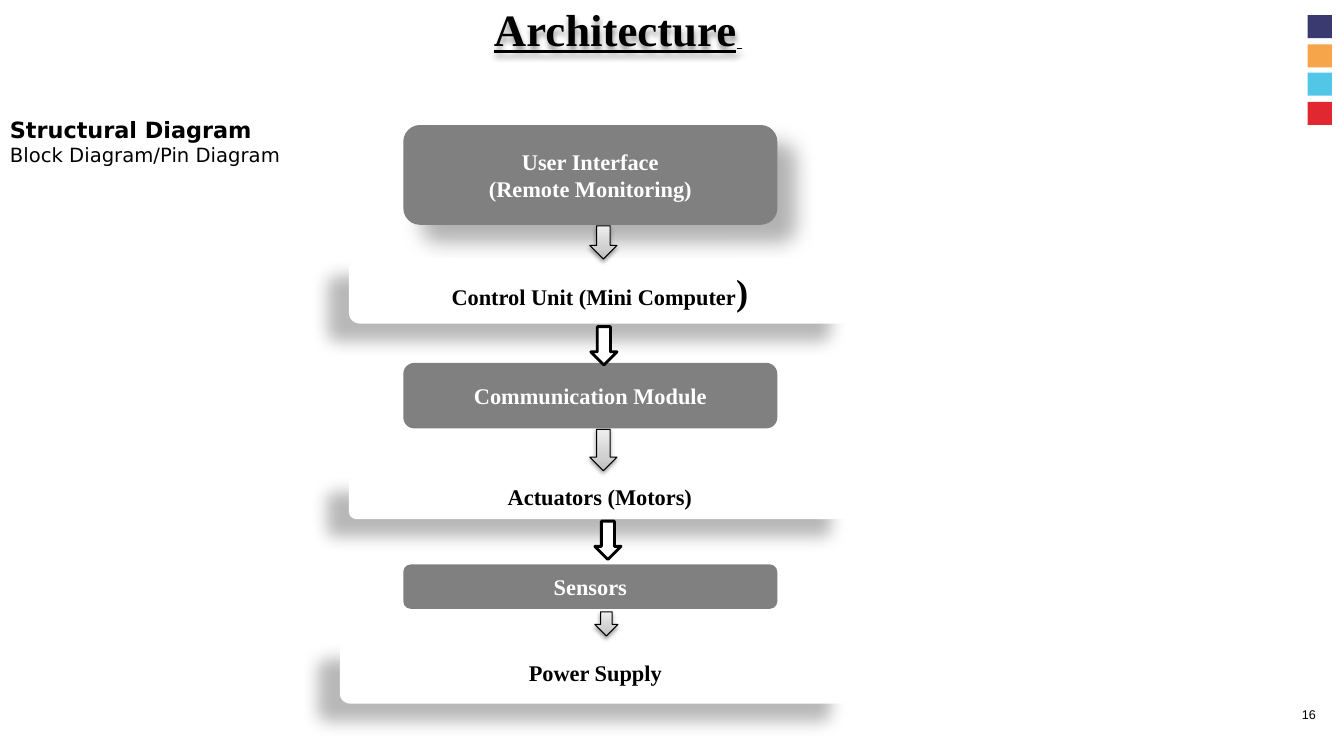
from lxml.etree import SubElement
from pptx import Presentation
from pptx.dml.color import RGBColor
from pptx.enum.shapes import MSO_SHAPE
from pptx.enum.text import MSO_ANCHOR, MSO_AUTO_SIZE, PP_ALIGN
from pptx.oxml.ns import qn
from pptx.util import Pt

EMU_PER_PX = 9144  # 100 px to the inch

BLACK = RGBColor(0x00, 0x00, 0x00)
WHITE = RGBColor(0xFF, 0xFF, 0xFF)
GRAY = RGBColor(0x80, 0x80, 0x80)
NAVY = RGBColor(0x3A, 0x3A, 0x70)
ORANGE = RGBColor(0xF7, 0xA5, 0x4B)
CYAN = RGBColor(0x51, 0xC6, 0xE7)
RED = RGBColor(0xE1, 0x27, 0x30)
ARROW_STOPS = [
    (0, RGBColor(0xBD, 0xBD, 0xBD)),
    (35, RGBColor(0xD1, 0xD1, 0xD1)),
    (100, RGBColor(0xEE, 0xEE, 0xEE)),
]

SERIF = "Times New Roman"

# Shadows: opacity in percent, blur and distance in points, angle in degrees
LOWER_RIGHT_SHADOW = (30, 15, 18, 45)
LOWER_LEFT_SHADOW = (28, 11.8, 19.7, 141)
ARROW_SHADOW = (38, 3.1, 1.6, 90)
TITLE_SHADOW = (40, 4, 3, 90)


def px(*lengths):
    return [length * EMU_PER_PX for length in lengths]


def add_shadow(shape, opacity, blur, distance, angle):
    shape.shadow.inherit = False
    effects = shape._element.spPr.find(qn("a:effectLst"))
    shadow = SubElement(
        effects, qn("a:outerShdw"), blurRad=str(Pt(blur)), dist=str(Pt(distance)),
        dir=str(angle * 60000), algn="ctr", rotWithShape="0")
    color = SubElement(shadow, qn("a:srgbClr"), val=str(BLACK))
    SubElement(color, qn("a:alpha"), val=str(opacity * 1000))


def fill_gradient(shape, stops):
    shape.fill.gradient()
    shape.fill.gradient_angle = 90
    stop_list = shape._element.spPr.find(qn("a:gradFill")).find(qn("a:gsLst"))
    for stop in list(stop_list):
        stop_list.remove(stop)
    for position, color in stops:
        stop = SubElement(stop_list, qn("a:gs"), pos=str(position * 1000))
        SubElement(stop, qn("a:srgbClr"), val=str(color))


def add_solid(slide, kind, box, color):
    shape = slide.shapes.add_shape(kind, *px(*box))
    shape.shadow.inherit = False
    shape.fill.solid()
    shape.fill.fore_color.rgb = color
    shape.line.fill.background()
    return shape


def format_run(run, size, font_name, color=BLACK, bold=False):
    run.font.size = Pt(size)
    run.font.name = font_name
    run.font.color.rgb = color
    run.font.bold = bold


def add_block(slide, box, text, color, text_color, shadow=None):
    shape = add_solid(slide, MSO_SHAPE.ROUNDED_RECTANGLE, box, color)
    if shadow:
        add_shadow(shape, *shadow)
    text_frame = shape.text_frame
    text_frame.vertical_anchor = MSO_ANCHOR.MIDDLE
    text_frame.text = text
    for paragraph in text_frame.paragraphs:
        paragraph.alignment = PP_ALIGN.CENTER
        for run in paragraph.runs:
            format_run(run, 16, SERIF, text_color, True)
    return shape


def add_arrow(slide, box, shaded):
    arrow = add_solid(slide, MSO_SHAPE.DOWN_ARROW, box, WHITE)
    arrow.line.color.rgb = BLACK
    arrow.line.width = Pt(0.75 if shaded else 2)
    if shaded:
        fill_gradient(arrow, ARROW_STOPS)
        add_shadow(arrow, *ARROW_SHADOW)


def add_text(slide, box, text, alignment=PP_ALIGN.LEFT):
    text_box = slide.shapes.add_textbox(*px(*box))
    text_frame = text_box.text_frame
    text_frame.word_wrap = True
    text_frame.text = text
    for paragraph in text_frame.paragraphs:
        paragraph.alignment = alignment
    return text_box


def add_title(slide):
    title = add_text(slide, (23, -3, 1180, 64), "Architecture", PP_ALIGN.CENTER)
    title.text_frame.auto_size = MSO_AUTO_SIZE.SHAPE_TO_FIT_TEXT
    add_shadow(title, *TITLE_SHADOW)
    paragraph = title.text_frame.paragraphs[0]
    format_run(paragraph.runs[0], 32, SERIF, bold=True)
    underlined_space = paragraph.add_run()
    underlined_space.text = " "
    format_run(underlined_space, 14, "Montserrat", bold=True)
    for run in paragraph.runs:
        run.font.underline = True


def add_heading(slide):
    heading = add_text(slide, (0, 110, 667, 61),
                       "Structural Diagram\nBlock Diagram/Pin Diagram")
    heading.text_frame.auto_size = MSO_AUTO_SIZE.SHAPE_TO_FIT_TEXT
    name, detail = heading.text_frame.paragraphs
    format_run(name.runs[0], 16, "DejaVu Sans", bold=True)
    format_run(detail.runs[0], 14, "DejaVu Sans")


def add_slide_number(slide):
    number = add_text(slide, (1235, 680, 80, 57), "16", PP_ALIGN.RIGHT)
    text_frame = number.text_frame
    text_frame.vertical_anchor = MSO_ANCHOR.MIDDLE
    text_frame.margin_top, text_frame.margin_bottom = px(10, 10)
    format_run(text_frame.paragraphs[0].runs[0], 9, "Arial")


def main():
    presentation = Presentation()
    presentation.slide_width, presentation.slide_height = px(1333, 750)
    slide = presentation.slides.add_slide(presentation.slide_layouts[6])

    # Corner squares and slide number
    for index, color in enumerate([NAVY, ORANGE, CYAN, RED]):
        top = 15 + round(index * 28.6)
        add_solid(slide, MSO_SHAPE.RECTANGLE, (1297, top, 24, 23), color)
    add_slide_number(slide)

    # Gray blocks
    for top, height, text, shadow in [
        (124, 99, "User Interface\n(Remote Monitoring)", LOWER_RIGHT_SHADOW),
        (360, 65, "Communication Module", None),
        (560, 44, "Sensors", None),
    ]:
        add_block(slide, (400, top, 371, height), text, GRAY, WHITE, shadow)

    # White blocks
    control_unit, _, _ = [
        add_block(slide, box, text, WHITE, BLACK, LOWER_LEFT_SHADOW)
        for box, text in [
            ((346, 256, 498, 65), "Control Unit (Mini Computer"),
            ((346, 471, 498, 44), "Actuators (Motors)"),
            ((337, 637, 507, 61), "Power Supply"),
        ]
    ]
    closing_bracket = control_unit.text_frame.paragraphs[0].add_run()
    closing_bracket.text = ")"
    format_run(closing_bracket, 26, SERIF, BLACK, True)

    # Arrows between the blocks
    for box, shaded in [
        ((585, 224, 27, 33), True),
        ((586, 324, 26, 38), False),
        ((585, 426, 27, 41), True),
        ((590, 517, 26, 38), False),
        ((590, 607, 23, 24), True),
    ]:
        add_arrow(slide, box, shaded)

    # Title and heading
    add_title(slide)
    add_heading(slide)

    presentation.save("out.pptx")


if __name__ == "__main__":
    main()
